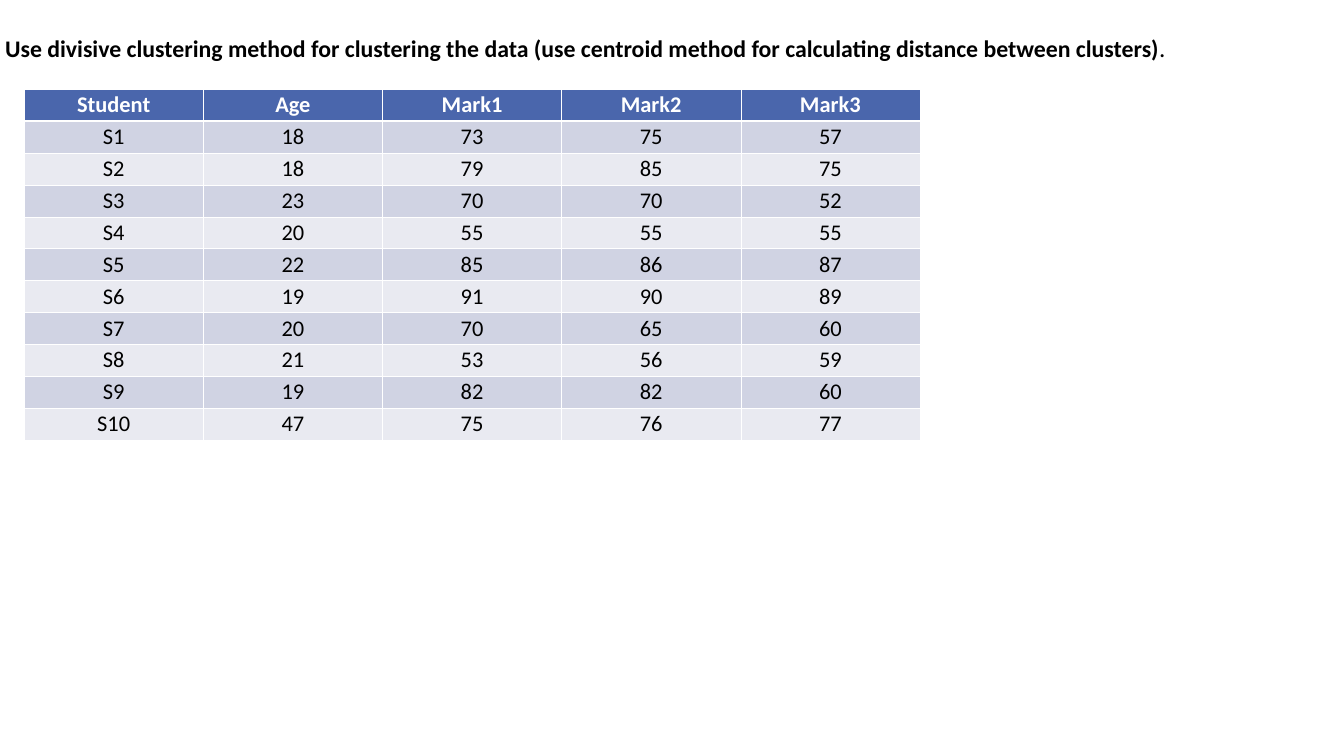
import pptx
import pptx.util
import pptx.dml.color
import pptx.enum.text
import pptx.oxml.ns
import lxml.etree

Pt = pptx.util.Pt
RGB = pptx.dml.color.RGBColor
Align = pptx.enum.text.PP_ALIGN
Anchor = pptx.enum.text.MSO_ANCHOR
Fit = pptx.enum.text.MSO_AUTO_SIZE
qn = pptx.oxml.ns.qn

BLACK = RGB(0x00, 0x00, 0x00)
WHITE = RGB(0xFF, 0xFF, 0xFF)
BLUE = RGB(0x4A, 0x66, 0xAC)
DARK = RGB(0xD0, 0xD3, 0xE3)
LIGHT = RGB(0xE9, 0xEA, 0xF1)

HEADS = ["Student", "Age", "Mark1", "Mark2", "Mark3"]
MARKS = [
    ("S1", 18, 73, 75, 57),
    ("S2", 18, 79, 85, 75),
    ("S3", 23, 70, 70, 52),
    ("S4", 20, 55, 55, 55),
    ("S5", 22, 85, 86, 87),
    ("S6", 19, 91, 90, 89),
    ("S7", 20, 70, 65, 60),
    ("S8", 21, 53, 56, 59),
    ("S9", 19, 82, 82, 60),
    ("S10", 47, 75, 76, 77),
]


def write(para, text, size=32, color=BLACK, bold=False, align=Align.LEFT):
    """Add one formatted run to a paragraph."""
    para.alignment = align
    run = para.add_run()
    run.text = text
    font = run.font
    font.name, font.size, font.bold = "Calibri", Pt(size), bold
    font.color.rgb = color


def edge(cell, side, width):
    """Draw one white cell border."""
    props = cell._tc.get_or_add_tcPr()
    line = lxml.etree.SubElement(props, qn("a:ln" + side), w=str(Pt(width)))
    fill = lxml.etree.SubElement(line, qn("a:solidFill"))
    lxml.etree.SubElement(fill, qn("a:srgbClr"), val=str(WHITE))


def title(slide, left, top, width, height):
    """Place the task in the title placeholder."""
    box = slide.shapes.title
    box.left, box.top = Pt(left), Pt(top)
    box.width, box.height = Pt(width), Pt(height)
    frame = box.text_frame
    frame.word_wrap = True
    frame.auto_size = Fit.SHAPE_TO_FIT_TEXT
    frame.vertical_anchor = Anchor.TOP
    para = frame.paragraphs[0]
    para.line_spacing = 2.0
    write(para, "Use divisive clustering method for clustering the data "
          "(use centroid method for calculating distance between clusters)",
          size=34, bold=True)
    write(para, ".", size=36)


def grid(slide, left, top, width, height):
    """Place the table of students and marks."""
    rows = [HEADS] + MARKS
    table = slide.shapes.add_table(len(rows), len(HEADS), Pt(left), Pt(top),
                                   Pt(width), Pt(height)).table
    for col in table.columns:
        col.width = Pt(width / len(HEADS))
    for i, row in enumerate(rows):
        table.rows[i].height = Pt(height / len(rows))
        head = i == 0
        back = BLUE if head else DARK if i % 2 else LIGHT
        for j, value in enumerate(row):
            cell = table.cell(i, j)
            cell.margin_top = cell.margin_bottom = Pt(3)
            # Borders go before the fill; the header rule is thicker
            edge(cell, "L", 1)
            edge(cell, "R", 1)
            edge(cell, "T", 3 if i == 1 else 1)
            edge(cell, "B", 3 if head else 1)
            cell.fill.solid()
            cell.fill.fore_color.rgb = back
            write(cell.text_frame.paragraphs[0], str(value), bold=head,
                  color=WHITE if head else BLACK, align=Align.CENTER)


# Slide
deck = pptx.Presentation()
deck.slide_width, deck.slide_height = Pt(1919.52), Pt(1080)
page = deck.slides.add_slide(deck.slide_layouts[5])
title(page, 0, 0, 1897, 82)
grid(page, 34.5, 127.5, 1279.5, 501.6)
deck.save("out.pptx")
